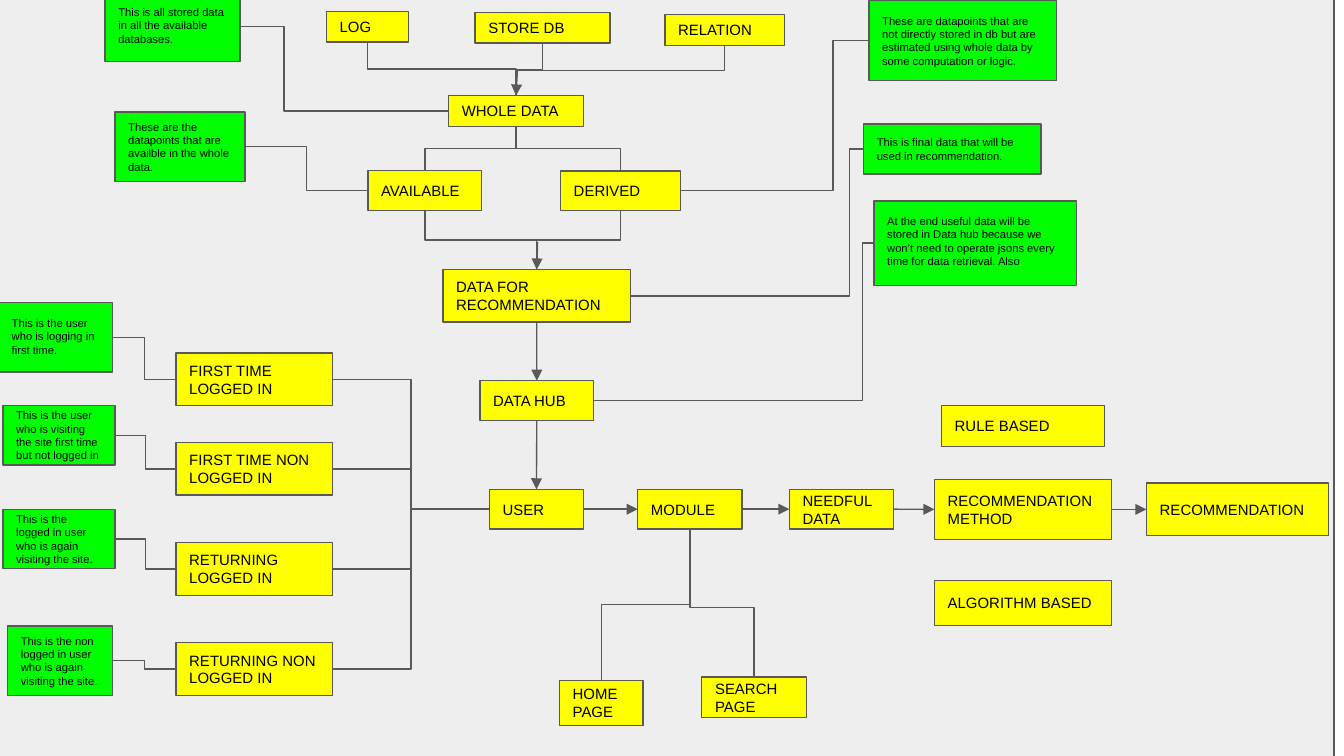
"""Build a one-slide flow chart of data feeding a recommendation."""
from typing import NamedTuple

from lxml.etree import SubElement
from pptx import Presentation
from pptx.dml.color import RGBColor
from pptx.enum.shapes import MSO_CONNECTOR, MSO_SHAPE
from pptx.enum.text import MSO_ANCHOR, PP_ALIGN
from pptx.oxml.ns import qn
from pptx.shapes.connector import Connector
from pptx.util import Pt

HUES = {"back": "EEEEEE", "step": "FFFF00", "note": "00FF00", "line": "595959", "text": "000000"}
SIZES = {"step": 8, "note": 6}
TOP, MID = MSO_ANCHOR.TOP, MSO_ANCHOR.MIDDLE


class Box(NamedTuple):
    text: str
    x: float
    y: float
    w: float
    h: float
    kind: str = "step"
    hold: MSO_ANCHOR = MID

    def side(self, name: str) -> tuple[float, float]:
        """Return the middle of the left, right, top or bottom side."""
        fx, fy = {"l": (0, 0.5), "r": (1, 0.5), "t": (0.5, 0), "b": (0.5, 1)}[name]
        return self.x + self.w * fx, self.y + self.h * fy


class Link(NamedTuple):
    start: str
    end: str
    sides: str
    bend: float = 0.5


ROW = 262.2
BOXES = {
    "whole": Box("WHOLE DATA", 240.3, 51.2, 72.3, 16.6),
    "avail": Box("AVAILABLE", 197.1, 91.5, 61, 21.2),
    "derived": Box("DERIVED", 300.3, 91.6, 64.4, 21.2),
    "final": Box("DATA FOR RECOMMENDATION", 237.3, 144.4, 100.5, 28.2),
    "query": Box("DATA HUB", 257.1, 204, 61, 21.2),
    "logs": Box("LOG", 174.9, 6.2, 44, 16.4),
    "docs": Box("STORE DB", 254.5, 6.7, 72.3, 16.4),
    "tables": Box("RELATION", 356.2, 7.8, 64, 16.6),
    "user": Box("USER", 262.2, ROW, 50.4, 21.2),
    "module": Box("MODULE", 341.7, ROW, 55.9, 21.2),
    "need": Box("NEEDFUL DATA", 422.9, ROW, 55.9, 21.2),
    "method": Box("RECOMMENDATION METHOD", 500.6, 256.9, 94.8, 32),
    "result": Box("RECOMMENDATION", 614.2, 258.8, 97.4, 28.2),
    "rule": Box("RULE BASED", 504.4, 217.2, 87.3, 22),
    "algo": Box("ALGORITHM BASED", 500.6, 311, 94.8, 24, hold=TOP),
    "home": Box("HOME PAGE", 299.7, 364.5, 44.8, 24.2),
    "search": Box("SEARCH PAGE", 376, 362.8, 56, 21.6),
    "whole note": Box("This is all stored data in all the available databases.",
                      56.3, -4.5, 72.4, 37.4, "note", TOP),
    "avail note": Box("These are the datapoints that are availble in the whole data.",
                      61.6, 60, 69.7, 37.2, "note"),
    "derived note": Box("These are datapoints that are not directly stored in db but are "
                        "estimated using whole data by some computation or logic.",
                        465.5, 0.2, 100.6, 43, "note", TOP),
    "final note": Box("This is final data that will be used in recommendation.",
                      462.6, 66.4, 95.1, 26.9, "note"),
    "query note": Box("At the end useful data will be stored in Data hub because we won’t "
                      "need to operate jsons every time for data retrieval. Also",
                      468.2, 107.6, 108.6, 45.2, "note", TOP),
    "first note": Box("This is the user who is logging in first time.",
                      -0.8, 162.2, 61.1, 37.2, "note", TOP),
    "guest note": Box("This is the user who is visiting the site first time but not logged in",
                      1.6, 217.3, 60.1, 31.8, "note"),
    "back note": Box("This is the logged in user who is again visiting the site.",
                     1.6, 273, 60.1, 31.6, "note"),
    "return note": Box("This is the non logged in user who is again visiting the site.",
                       4.1, 335.4, 56.2, 37.2, "note"),
}
GROUPS = {
    "first": ("FIRST TIME LOGGED IN", 189.1),
    "guest": ("FIRST TIME NON LOGGED IN", 237.1),
    "back": ("RETURNING LOGGED IN", 290.7),
    "return": ("RETURNING NON LOGGED IN", 344.3),
}
BOXES |= {key: Box(text, 94.3, y, 83.8, 28.2) for key, (text, y) in GROUPS.items()}

BENDS = [
    *(Link(key, "whole", "bt") for key in ("logs", "docs", "tables")),
    *(Link(key, "whole", "tb") for key in ("avail", "derived")),
    *(Link(key, "final", "bt") for key in ("avail", "derived")),
    *(Link(key, "user", "rl") for key in GROUPS),
    *(Link(f"{key} note", key, "rl") for key in GROUPS),
    Link("whole note", "whole", "rl", 0.21),
    Link("avail note", "avail", "rl"),
    Link("derived", "derived note", "rl", 0.81),
    Link("final", "final note", "rl", 0.94),
    Link("query", "query note", "rl", 0.96),
    Link("home", "module", "tb"),
    Link("search", "module", "tb", 0.47),
]
FLOW = ["user", "module", "need", "method", "result"]
ARROWS = [Link("final", "query", "bt"), Link("query", "user", "bt"),
          *(Link(a, b, "rl") for a, b in zip(FLOW, FLOW[1:]))]
STUBS = [((277.2, 37.4), "whole"), ((288, 129.6), "final")]


def draw_box(shapes, box: Box) -> None:
    """Draw a filled box with its text, if any."""
    shape = shapes.add_shape(MSO_SHAPE.RECTANGLE, *map(Pt, box[1:5]))
    shape.shadow.inherit = False
    shape.fill.solid()
    shape.fill.fore_color.rgb = RGBColor.from_string(HUES[box.kind])
    shape.line.color.rgb = RGBColor.from_string(HUES["line"])
    shape.line.width = Pt(0.75)
    if not box.text:
        return
    frame = shape.text_frame
    frame.word_wrap = True
    frame.vertical_anchor = box.hold
    frame.margin_left = frame.margin_right = frame.margin_top = frame.margin_bottom = Pt(7.2)
    par = frame.paragraphs[0]
    par.text = box.text
    par.alignment = PP_ALIGN.LEFT
    par.font.name = "Arial"
    par.font.size = Pt(SIZES[box.kind])
    par.font.color.rgb = RGBColor.from_string(HUES["text"])


def draw_line(shapes, kind: MSO_CONNECTOR, start: tuple, end: tuple) -> Connector:
    """Draw a plain connector between two points."""
    line = shapes.add_connector(kind, *map(Pt, (*start, *end)))
    line.line.color.rgb = RGBColor.from_string(HUES["line"])
    line.line.width = Pt(0.75)
    SubElement(line._element.spPr, qn("a:effectLst"))
    return line


def draw_arrow(shapes, start: tuple, end: tuple) -> None:
    """Draw a straight line with a head at its end."""
    line = draw_line(shapes, MSO_CONNECTOR.STRAIGHT, start, end)
    SubElement(line._element.spPr.find(qn("a:ln")), qn("a:tailEnd"), type="triangle")


def draw_bend(shapes, link: Link) -> None:
    """Draw an elbow, turned a quarter when it leaves up or down."""
    (ax, ay), (bx, by) = ends(link)
    upright = link.sides[0] in "tb"
    turn = 270 if bx > ax else 90
    start, end = (ax, ay), (bx, by)
    if upright:
        sign = 1 if turn == 90 else -1
        mx, my = (ax + bx) / 2, (ay + by) / 2
        dx, dy = sign * (bx - ax) / 2, sign * (by - ay) / 2
        start, end = (mx - dy, my + dx), (mx + dy, my - dx)
    line = draw_line(shapes, MSO_CONNECTOR.ELBOW, start, end)
    props = line._element.spPr
    if upright:
        props.find(qn("a:xfrm")).set("rot", str(turn * 60000))
    guides = props.find(qn("a:prstGeom")).find(qn("a:avLst"))
    SubElement(guides, qn("a:gd"), name="adj1", fmla=f"val {round(link.bend * 100000)}")


def ends(link: Link) -> tuple:
    """Return the two points that a link joins."""
    return BOXES[link.start].side(link.sides[0]), BOXES[link.end].side(link.sides[1])


def main() -> None:
    """Build and save the slide."""
    deck = Presentation()
    deck.slide_width, deck.slide_height = Pt(720), Pt(405)
    shapes = deck.slides.add_slide(deck.slide_layouts[6]).shapes
    draw_box(shapes, Box("", -7.9, -9.4, 722.6, 417, "back"))
    for box in BOXES.values():
        draw_box(shapes, box)
    for link in BENDS:
        draw_bend(shapes, link)
    for link in ARROWS:
        draw_arrow(shapes, *ends(link))
    for start, key in STUBS:
        draw_arrow(shapes, start, BOXES[key].side("t"))
    deck.save("out.pptx")


if __name__ == "__main__":
    main()
